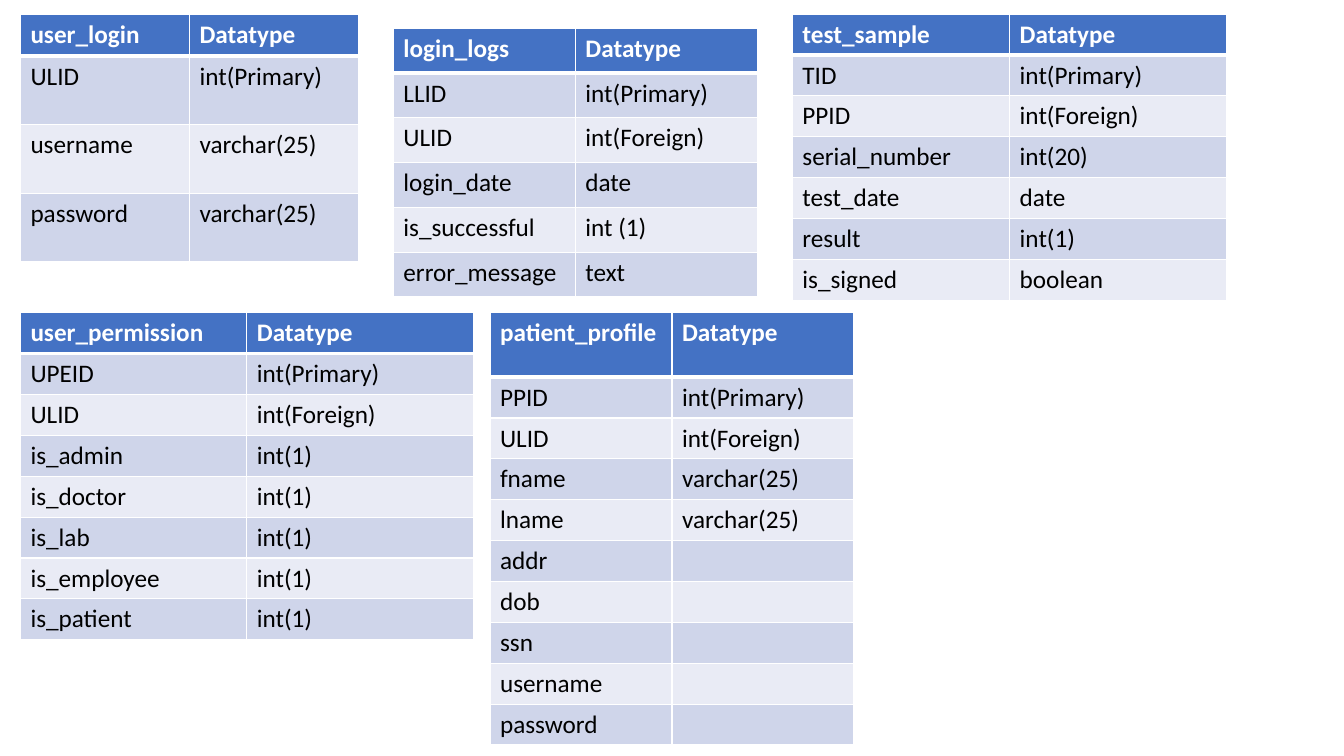
from lxml import etree
from pptx import Presentation
from pptx import util as u
from pptx.dml.color import RGBColor
from pptx.oxml import ns

WHITE = RGBColor(0xFF, 0xFF, 0xFF)
BLACK = RGBColor(0x00, 0x00, 0x00)
HEADER_BLUE = RGBColor(0x44, 0x72, 0xC4)
BANDS = (RGBColor(0xCF, 0xD5, 0xEA), RGBColor(0xE9, 0xEB, 0xF5))


class SchemaPage:
    font = "Calibri"
    size = 18
    thin, thick = 1, 3

    def __init__(self, deck):
        self.page = deck.slides.add_slide(deck.slide_layouts[6])

    def table(self, name, fields, left, top, column_width, header_height, row_height):
        rows = [(name, "Datatype")] + fields
        height = header_height + row_height * len(fields)
        frame = self.page.shapes.add_table(
            len(rows), 2, u.Pt(left), u.Pt(top), u.Pt(2 * column_width), u.Pt(height))
        grid = frame.table
        grid.first_row = grid.horz_banding = False
        for column in grid.columns:
            column.width = u.Pt(column_width)
        for index, row in enumerate(rows):
            grid.rows[index].height = u.Pt(row_height if index else header_height)
            for column, words in enumerate(row):
                self.cell(grid.cell(index, column), words, index)

    def cell(self, cell, words, index):
        is_header = index == 0
        self.borders(cell, top=self.thick if index == 1 else self.thin,
                     bottom=self.thick if is_header else self.thin)
        cell.fill.solid()
        cell.fill.fore_color.rgb = HEADER_BLUE if is_header else BANDS[(index - 1) % 2]
        cell.text_frame.text = words
        for span in cell.text_frame.paragraphs[0].runs:
            span.font.name = self.font
            span.font.size = u.Pt(self.size)
            span.font.bold = is_header
            span.font.color.rgb = WHITE if is_header else BLACK

    def borders(self, cell, top, bottom):
        properties = cell._tc.get_or_add_tcPr()
        sides = {"L": self.thin, "R": self.thin, "T": top, "B": bottom}
        for side, width in sides.items():
            line = etree.SubElement(properties, ns.qn("a:ln" + side), w=str(u.Pt(width)))
            fill = etree.SubElement(line, ns.qn("a:solidFill"))
            etree.SubElement(fill, ns.qn("a:srgbClr"), val=str(WHITE))


deck = Presentation()
deck.slide_width, deck.slide_height = u.Pt(960), u.Pt(540)
schema = SchemaPage(deck)

PRIMARY, FOREIGN = "int(Primary)", "int(Foreign)"
FLAG, SHORT_TEXT = "int(1)", "varchar(25)"
LEFT_EDGE, UPPER, LOWER = 14.6, 10.1, 223.4

# Upper row: accounts, log-ins and test samples
schema.table("user_login", [
    ("ULID", PRIMARY),
    ("username", SHORT_TEXT),
    ("password", SHORT_TEXT),
], LEFT_EDGE, UPPER, 120.8, 30, 49)

schema.table("login_logs", [
    ("LLID", PRIMARY),
    ("ULID", FOREIGN),
    ("login_date", "date"),
    ("is_successful", "int (1)"),
    ("error_message", "text"),
], 281, 20.2, 130, 32, 32)

schema.table("test_sample", [
    ("TID", PRIMARY),
    ("PPID", FOREIGN),
    ("serial_number", "int(20)"),
    ("test_date", "date"),
    ("result", FLAG),
    ("is_signed", "boolean"),
], 566, UPPER, 155.2, 28, 28)

# Lower row: permissions and patients
roles = ("admin", "doctor", "lab", "employee", "patient")
schema.table("user_permission", [
    ("UPEID", PRIMARY),
    ("ULID", FOREIGN),
    *[("is_" + role, FLAG) for role in roles],
], LEFT_EDGE, LOWER, 161.7, 24.5, 24.5)

untyped = ("addr", "dob", "ssn", "username", "password")
schema.table("patient_profile", [
    ("PPID", PRIMARY),
    ("ULID", FOREIGN),
    ("fname", SHORT_TEXT),
    ("lname", SHORT_TEXT),
    *[(field, "") for field in untyped],
], 350, LOWER, 130, 46, 26.7)

deck.save("out.pptx")
